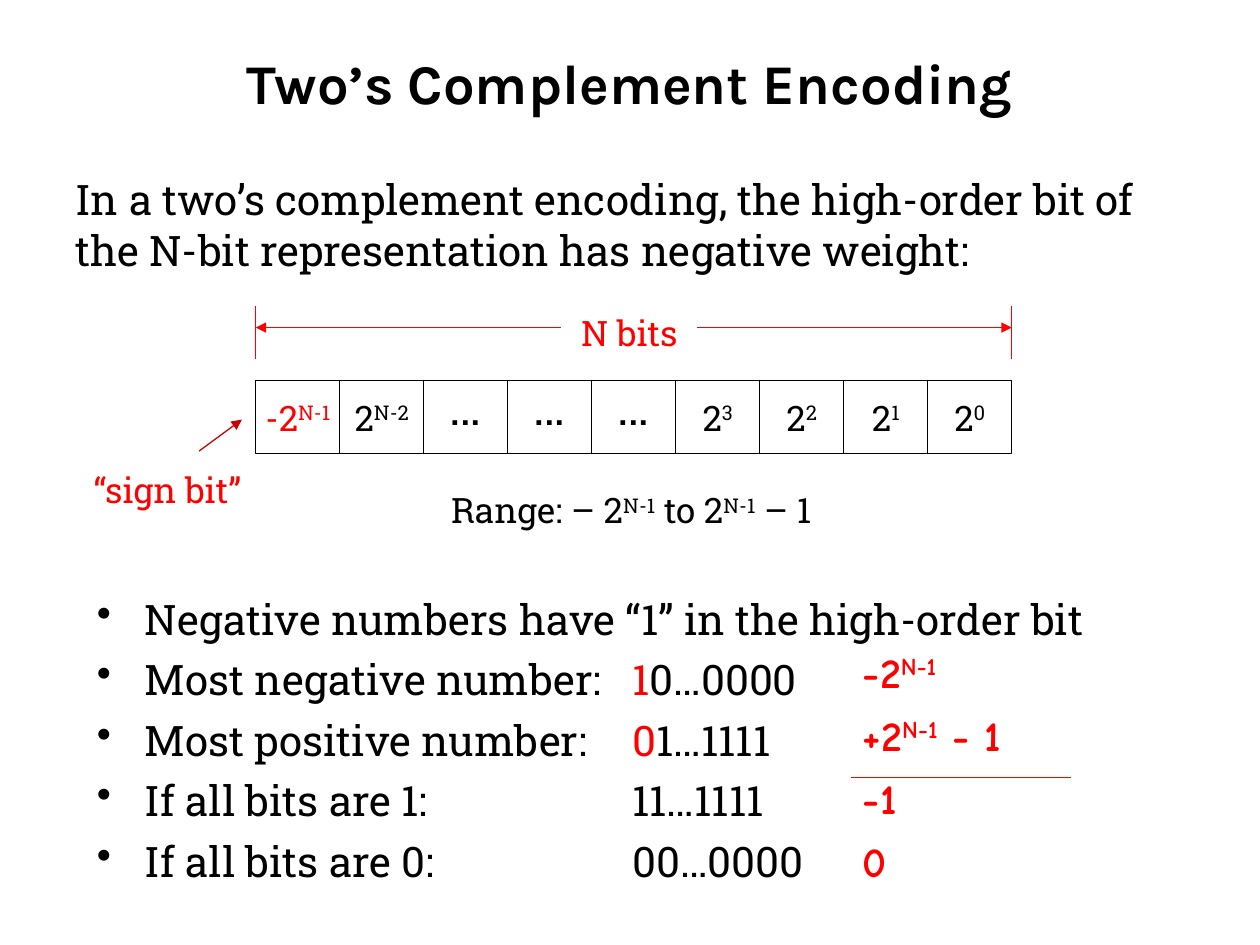
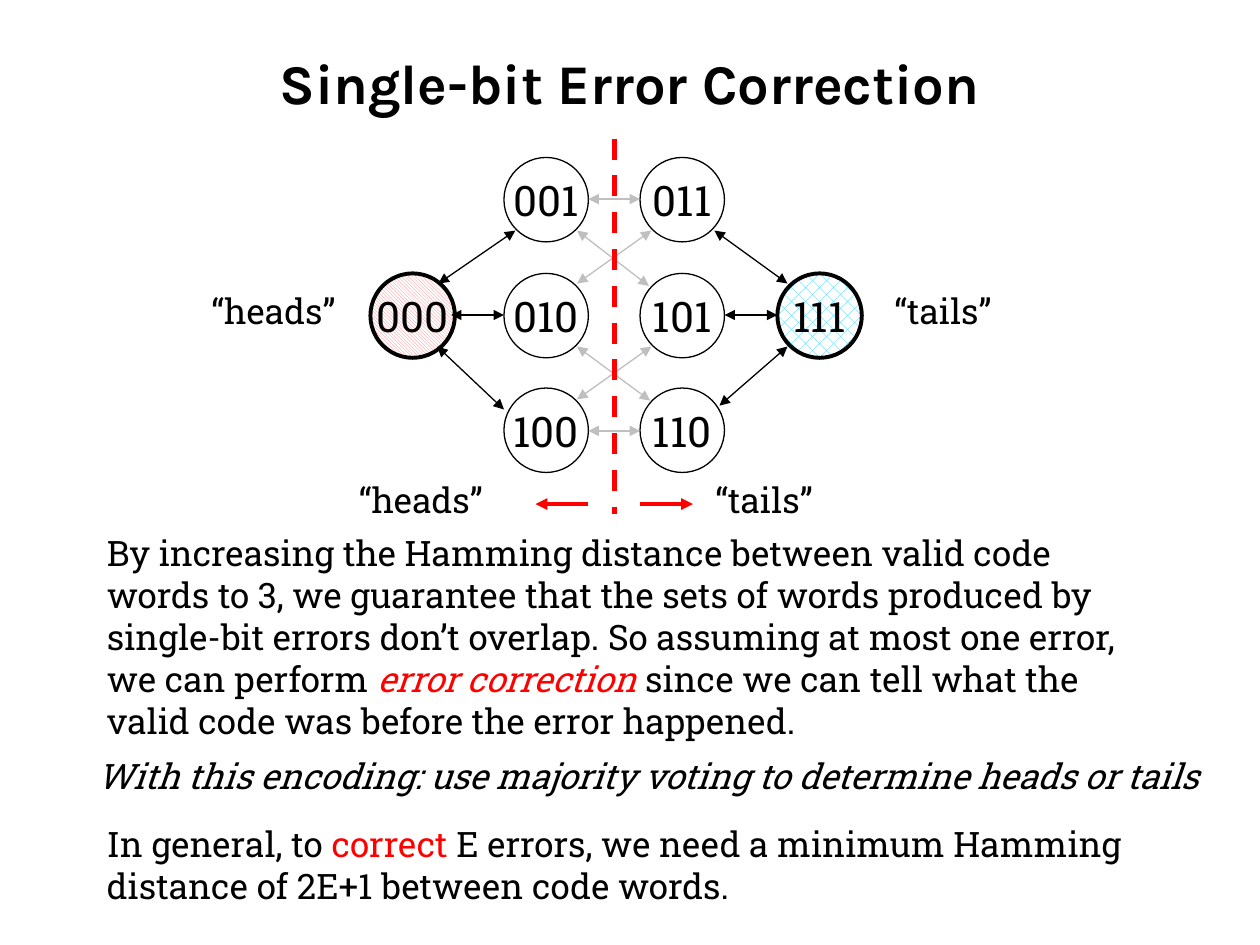
"""Build two slides on two's complement encoding and single-bit error correction."""

from dataclasses import dataclass

from lxml import etree
from pptx import Presentation
from pptx.dml.color import RGBColor
from pptx.enum.dml import MSO_LINE_DASH_STYLE, MSO_PATTERN_TYPE
from pptx.enum.shapes import MSO_CONNECTOR_TYPE, MSO_SHAPE
from pptx.enum.text import MSO_ANCHOR, PP_ALIGN
from pptx.oxml.ns import qn
from pptx.util import Inches, Pt

LEFT, CENTER = PP_ALIGN.LEFT, PP_ALIGN.CENTER
TOP, MIDDLE = MSO_ANCHOR.TOP, MSO_ANCHOR.MIDDLE
RECTANGLE, OVAL = MSO_SHAPE.RECTANGLE, MSO_SHAPE.OVAL
STRAIGHT = MSO_CONNECTOR_TYPE.STRAIGHT
DASH = MSO_LINE_DASH_STYLE.DASH
DOTTED_PATTERN = MSO_PATTERN_TYPE.PERCENT_25
DIAGONAL_PATTERN = MSO_PATTERN_TYPE.DARK_DOWNWARD_DIAGONAL

BLACK, WHITE, RED = "000000", "FFFFFF", "FF0000"
DARK_RED, GRAY, PINK, SKY = "CC0000", "BFBFBF", "FF7C80", "33CCFF"
TITLE_FONT, BODY_FONT, ANSWER_FONT = "Karla", "Roboto Slab", "Comic Neue"
BULLET_INDENT, BITS_TAB = Inches(0.38), Inches(4.25)


@dataclass(frozen=True)
class Run:
    """A piece of text that may differ from its paragraph."""
    text: str
    color: str = ""
    raised: bool = False
    italic: bool = False


@dataclass(frozen=True)
class Style:
    """How a block of text looks."""
    size: int = 20
    color: str = BLACK
    font: str = BODY_FONT
    bold: bool = False
    italic: bool = False
    align: PP_ALIGN = LEFT
    anchor: MSO_ANCHOR = TOP
    wrap: bool = True
    bulleted: bool = False


@dataclass(frozen=True)
class TextBlock:
    """A text box with its place, paragraphs and style."""
    left: float
    top: float
    width: float
    height: float
    paragraphs: list[list[Run]]
    style: Style


@dataclass(frozen=True)
class Line:
    """A straight line, with arrowheads if wanted."""
    x1: float
    y1: float
    x2: float
    y2: float
    color: str = RED
    weight: float = 0.75
    head: bool = False
    tail: bool = False
    dashed: bool = False


@dataclass(frozen=True)
class CodeWord:
    """A circled three-bit word, with a pattern if it is valid."""
    bits: str
    left: float
    top: float
    pattern: MSO_PATTERN_TYPE | None = None
    pattern_color: str = WHITE


TITLE = Style(32, font=TITLE_FONT, bold=True, align=CENTER, anchor=MIDDLE)
BODY, LARGE_BODY = Style(), Style(24)
LABEL = Style(wrap=False)
CENTERED_LABEL = Style(align=CENTER, wrap=False)
RED_LABEL = Style(color=RED, align=CENTER, wrap=False)
BULLETS = Style(24, bulleted=True)
ANSWER = Style(24, RED, ANSWER_FONT, bold=True, wrap=False)
CELL = Style(align=CENTER, anchor=MIDDLE, wrap=False)
SIGN_CELL = Style(color=RED, align=CENTER, anchor=MIDDLE, wrap=False)
DOTS_CELL = Style(48, align=CENTER, anchor=MIDDLE, wrap=False)
CIRCLE = Style(24, align=CENTER, anchor=MIDDLE, wrap=False)


def rgb(color: str) -> RGBColor:
    """Turn a hex string into a colour."""
    return RGBColor.from_string(color)


def power(base: str, exponent: str) -> list[Run]:
    """Return the runs of a base with a raised exponent."""
    return [Run(base), Run(exponent, raised=True)]


def add_bullet(paragraph) -> None:
    """Give a paragraph a bullet, a hanging indent and a tab stop."""
    properties = paragraph._p.get_or_add_pPr()
    properties.set("marL", str(BULLET_INDENT))
    properties.set("indent", str(-BULLET_INDENT))
    etree.SubElement(properties, qn("a:buChar"), char="•")
    tabs = etree.SubElement(properties, qn("a:tabLst"))
    etree.SubElement(tabs, qn("a:tab"), pos=str(BITS_TAB), algn="l")
    paragraph.line_spacing = 1.2


def write_text(shape, paragraphs: list[list[Run]], style: Style) -> None:
    """Fill a shape with styled paragraphs."""
    frame = shape.text_frame
    frame.word_wrap = style.wrap
    frame.vertical_anchor = style.anchor
    for index, runs in enumerate(paragraphs):
        paragraph = frame.add_paragraph() if index else frame.paragraphs[0]
        if style.bulleted:
            add_bullet(paragraph)
        paragraph.alignment = style.align
        font = paragraph.font
        font.name, font.size = style.font, Pt(style.size)
        font.bold, font.italic = style.bold, style.italic
        font.color.rgb = rgb(style.color)
        for item in runs:
            run = paragraph.add_run()
            run.text = item.text
            if item.color:
                run.font.color.rgb = rgb(item.color)
            if item.italic:
                run.font.italic = True
            if item.raised:
                run._r.get_or_add_rPr().set("baseline", "30000")


def add_text(slide, block: TextBlock) -> None:
    """Draw a text box."""
    box = slide.shapes.add_textbox(Inches(block.left), Inches(block.top),
                                   Inches(block.width), Inches(block.height))
    write_text(box, block.paragraphs, block.style)


def add_outlined(slide, kind: MSO_SHAPE, left: float, top: float, width: float,
                 height: float, runs: list[Run], style: Style):
    """Draw an unfilled black-outlined shape with text."""
    shape = slide.shapes.add_shape(kind, Inches(left), Inches(top),
                                   Inches(width), Inches(height))
    shape.shadow.inherit = False
    shape.fill.background()
    shape.line.color.rgb = rgb(BLACK)
    shape.line.width = Pt(0.75)
    write_text(shape, [runs], style)
    return shape


def add_code_word(slide, word: CodeWord) -> None:
    """Draw a code word, patterned and bold-edged when valid."""
    circle = add_outlined(slide, OVAL, word.left, word.top, 0.67, 0.67,
                          [Run(word.bits)], CIRCLE)
    if word.pattern is not None:
        circle.fill.patterned()
        circle.fill.pattern = word.pattern
        circle.fill.fore_color.rgb = rgb(word.pattern_color)
        circle.fill.back_color.rgb = rgb(WHITE)
        circle.line.width = Pt(2.25)


def add_line(slide, line: Line) -> None:
    """Draw a straight connector."""
    connector = slide.shapes.add_connector(
        STRAIGHT, Inches(line.x1), Inches(line.y1), Inches(line.x2), Inches(line.y2))
    connector.line.color.rgb = rgb(line.color)
    connector.line.width = Pt(line.weight)
    if line.dashed:
        connector.line.dash_style = DASH
    outline = connector.line._get_or_add_ln()
    for tag, wanted in (("a:headEnd", line.head), ("a:tailEnd", line.tail)):
        if wanted:
            etree.SubElement(outline, qn(tag), type="triangle")
    etree.SubElement(connector._element.spPr, qn("a:effectLst"))


def add_titled_slide(presentation, title: str):
    """Add a blank slide with the shared title."""
    slide = presentation.slides.add_slide(presentation.slide_layouts[6])
    add_text(slide, TextBlock(0.5, 0.3, 9, 0.7, [[Run(title)]], TITLE))
    return slide


def build_encoding_slide(presentation) -> None:
    """Build the slide on two's complement encoding."""
    slide = add_titled_slide(presentation, "Two’s Complement Encoding")
    row_left, row_width = 2.03, 6
    row_right = row_left + row_width
    dots = ([Run("…", raised=True)], DOTS_CELL)
    cells = [(power("-2", "N-1"), SIGN_CELL), (power("2", "N-2"), CELL), dots, dots, dots]
    cells += [(power("2", str(exponent)), CELL) for exponent in (3, 2, 1, 0)]
    cell_width = row_width / len(cells)
    for index, (runs, style) in enumerate(cells):
        add_outlined(slide, RECTANGLE, row_left + index * cell_width, 3.02,
                     cell_width, 0.58, runs, style)

    for line in (
        Line(row_left, 2.85, row_left, 2.43),
        Line(row_right, 2.85, row_right, 2.43),
        Line(5.53, 2.6, row_right, 2.6, tail=True),
        Line(4.45, 2.6, row_left, 2.6, tail=True),
        Line(1.58, 3.58, 1.92, 3.33, DARK_RED, tail=True),
        Line(8.5, 6.17, 6.75, 6.17),
    ):
        add_line(slide, line)

    range_runs = [Run("Range: – 2"), Run("N-1", raised=True), Run(" to 2"),
                  Run("N-1", raised=True), Run(" – 1")]
    facts = [
        [Run("Negative numbers have “1” in the high-order bit")],
        [Run("Most negative number:\t"), Run("1", RED), Run("0…0000")],
        [Run("Most positive number:\t"), Run("0", RED), Run("1…1111")],
        [Run("If all bits are 1:\t11…1111")],
        [Run("If all bits are 0:\t00…0000")],
    ]
    for block in (
        TextBlock(4.49, 2.42, 1.01, 0.44, [[Run("N bits")]], RED_LABEL),
        TextBlock(0.58, 3.67, 1.5, 0.44, [[Run("“sign bit”")]], RED_LABEL),
        TextBlock(3.22, 3.83, 3.58, 0.44, [range_runs], CENTERED_LABEL),
        TextBlock(0.5, 1.33, 9, 0.91, [[Run(
            "In a two’s complement encoding, the high-order bit of the N-bit "
            "representation has negative weight:")]], LARGE_BODY),
        TextBlock(0.67, 4.58, 8.45, 2.51, facts, BULLETS),
    ):
        add_text(slide, block)

    answers = [(1.07, power("-2", "N-1")), (1.77, power("+2", "N-1") + [Run(" - 1")]),
               (0.61, [Run("-1")]), (0.41, [Run("0")])]
    for index, (width, runs) in enumerate(answers):
        add_text(slide, TextBlock(6.75, 5.08 + index * 0.5, width, 0.51, [runs], ANSWER))


def build_correction_slide(presentation) -> None:
    """Build the slide on single-bit error correction."""
    slide = add_titled_slide(presentation, "Single-bit Error Correction")
    rows = (1.25, 2.17, 3.08)
    words = [CodeWord("000", 2.94, rows[1], DIAGONAL_PATTERN, PINK),
             CodeWord("111", 6.17, rows[1], DOTTED_PATTERN, SKY)]
    for left, column in ((4, ("001", "010", "100")), (5.08, ("011", "101", "110"))):
        words += [CodeWord(bits, left, top) for bits, top in zip(column, rows)]
    for word in words:
        add_code_word(slide, word)

    valid_word_links = ((3.48, 2.25, 4.09, 1.83), (3.47, 2.75, 4, 3.25),
                        (4, 2.5, 3.58, 2.5), (5.67, 1.83, 6.25, 2.25),
                        (5.71, 3.22, 6.25, 2.75), (6.17, 2.5, 5.75, 2.5))
    crossing_links = ((5.08, 1.58, 4.67, 1.58), (5.08, 3.42, 4.67, 3.42),
                      (5.15, 2.27, 4.58, 1.83), (5.17, 2.75, 4.58, 3.17),
                      (5.17, 1.83, 4.58, 2.25), (5.16, 3.18, 4.58, 2.75))
    for color, links in ((BLACK, valid_word_links), (GRAY, crossing_links)):
        for link in links:
            add_line(slide, Line(*link, color, head=True, tail=True))
    add_line(slide, Line(4.88, 1.1, 4.88, 4.08, weight=3, dashed=True))
    for start, end in ((5.08, 5.5), (4.67, 4.25)):
        add_line(slide, Line(start, 4, end, 4, weight=2.25, tail=True))

    for top, heads_left, tails_left in ((3.75, 2.75, 5.58), (2.25, 1.58, 7)):
        add_text(slide, TextBlock(heads_left, top, 1.32, 0.44, [[Run("“heads”")]], LABEL))
        add_text(slide, TextBlock(tails_left, top, 1.07, 0.44, [[Run("“tails”")]], LABEL))

    explanation = [
        Run("By increasing the Hamming distance between valid code words to 3, we "
            "guarantee that the sets of words produced by single-bit errors don’t "
            "overlap. So assuming at most one error, we can perform "),
        Run("error correction ", RED, italic=True),
        Run("since we can tell what the valid code was before the error happened."),
    ]
    general_rule = [Run("In general, to "), Run("correct", RED), Run(
        " E errors, we need a minimum Hamming distance of 2E+1 between code words.")]
    voting = [Run("With this encoding: use majority voting to determine heads or tails")]
    add_text(slide, TextBlock(0.75, 4.17, 8.44, 1.78, [explanation], BODY))
    add_text(slide, TextBlock(0.67, 5.94, 9, 0.44, [voting], Style(italic=True)))
    add_text(slide, TextBlock(0.75, 6.48, 8.75, 0.77, [general_rule], BODY))


def main() -> None:
    """Build and save the presentation."""
    presentation = Presentation()
    presentation.slide_width, presentation.slide_height = Inches(10), Inches(7.5)
    build_encoding_slide(presentation)
    build_correction_slide(presentation)
    presentation.save("out.pptx")


if __name__ == "__main__":
    main()
